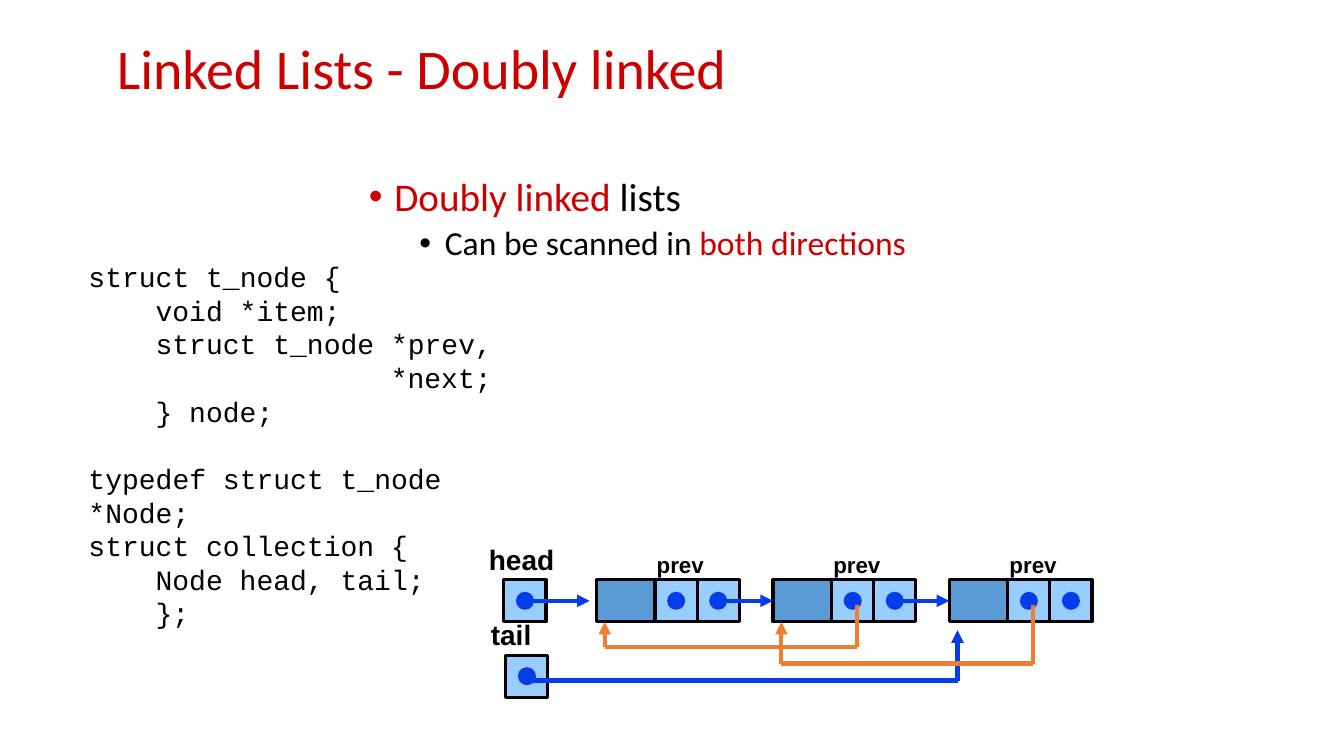
from itertools import pairwise

from lxml import etree
from pptx import Presentation
from pptx.dml.color import RGBColor
from pptx.enum.shapes import MSO_CONNECTOR, MSO_SHAPE
from pptx.enum.text import MSO_ANCHOR, PP_ALIGN
from pptx.oxml.ns import qn
from pptx.util import Cm, Pt

RED = RGBColor(0xCD, 0x00, 0x00)
BLACK = RGBColor(0x00, 0x00, 0x00)
LIGHT_BLUE = RGBColor(0x99, 0xCC, 0xFF)
STEEL_BLUE = RGBColor(0x5B, 0x9B, 0xD5)
BLUE = RGBColor(0x06, 0x3D, 0xE8)
ORANGE = RGBColor(0xED, 0x7D, 0x31)

CELL, DATA_WIDTH, DOT = 1.06, 1.48, 0.42
NODE_TOP = 14.61
NODE_LEFTS = [15.03, 19.48, 23.92]
NODE_MIDDLE = NODE_TOP + CELL / 2
HEAD_LEFT, TAIL_LEFT, TAIL_TOP = 12.7, 12.75, 16.51


def add_box(shapes, kind, left, top, width, height, fill, line, line_width):
    box = shapes.add_shape(kind, Cm(left), Cm(top), Cm(width), Cm(height))
    box.shadow.inherit = False
    box.fill.solid()
    box.fill.fore_color.rgb = fill
    box.line.color.rgb = line
    box.line.width = Pt(line_width)


def trace(points, color):
    """Join the points with straight lines, with an arrowhead at the last one."""
    for start, end in pairwise(points):
        connector = slide.shapes.add_connector(
            MSO_CONNECTOR.STRAIGHT, *map(Cm, start + end))
        connector.line.color.rgb = color
        connector.line.width = Pt(3)
        etree.SubElement(connector._element.spPr, qn("a:effectLst"))
        if end == points[-1]:
            line = connector._element.spPr.find(qn("a:ln"))
            etree.SubElement(line, qn("a:tailEnd"), type="triangle")


presentation = Presentation()
presentation.slide_width = Cm(33.87)
presentation.slide_height = Cm(19.05)
slide = presentation.slides.add_slide(presentation.slide_layouts[5])

title = slide.shapes.title
title.left, title.top, title.width, title.height = Cm(2.69), Cm(0.84), Cm(21.59), Cm(1.9)
title.text_frame.text = "Linked Lists - Doubly linked"
title.text_frame.vertical_anchor = MSO_ANCHOR.MIDDLE
paragraph = title.text_frame.paragraphs[0]
paragraph.alignment = PP_ALIGN.LEFT
paragraph.line_spacing = 0.9
paragraph.font.name = "Calibri"
paragraph.font.size = Pt(40)
paragraph.font.color.rgb = RED

# Bulleted points: level, size, space before, left margin, coloured runs
bullets = [
    (0, 28, 10, 0.64, [("Doubly linked ", RED), ("lists", BLACK)]),
    (1, 24, 5, 1.91, [("Can be scanned in ", BLACK), ("both directions", RED)]),
]
body = slide.shapes.add_textbox(Cm(9.05), Cm(4.34), Cm(21.59), Cm(8.46)).text_frame
body.word_wrap = True
for index, (level, size, space, margin, runs) in enumerate(bullets):
    paragraph = body.add_paragraph() if index else body.paragraphs[0]
    paragraph.level = level
    paragraph.line_spacing = 0.9
    paragraph.space_before = Pt(space)
    paragraph.font.name = "Calibri"
    paragraph.font.size = Pt(size)
    properties = paragraph._p.get_or_add_pPr()
    properties.set("marL", str(Cm(margin)))
    properties.set("indent", str(Cm(-0.64)))
    bullet_font = etree.Element(qn("a:buFont"), typeface="Arial")
    bullet = etree.Element(qn("a:buChar"), char="•")
    default_run = properties.find(qn("a:defRPr"))
    default_run.addprevious(bullet_font)
    default_run.addprevious(bullet)
    for text, color in runs:
        run = paragraph.add_run()
        run.text = text
        run.font.color.rgb = color

# Code lines: indent in characters, lines skipped above, text
code_lines = [
    (0, 0, "struct t_node {"),
    (4, 0, "void *item;"),
    (4, 0, "struct t_node *prev,"),
    (18, 0, "*next;"),
    (4, 0, "} node;"),
    (0, 1, "typedef struct t_node *Node;"),
    (0, 0, "struct collection {"),
    (4, 0, "Node head, tail;"),
    (4, 0, "};"),
]
code = slide.shapes.add_textbox(Cm(1.98), Cm(6.42), Cm(12.2), Cm(8.71)).text_frame
code.word_wrap = True
for index, (indent, skipped, text) in enumerate(code_lines):
    paragraph = code.add_paragraph() if index else code.paragraphs[0]
    paragraph.text = text
    paragraph.line_spacing = Pt(24)
    paragraph.space_before = Pt(24 * skipped)
    paragraph.font.name = "Courier New"
    paragraph.font.size = Pt(20)
    paragraph.font.color.rgb = BLACK
    paragraph._p.get_or_add_pPr().set("marL", str(Pt(12 * indent)))

# Each group: left, top, whether it holds data, number of pointers
groups = [(HEAD_LEFT, NODE_TOP, False, 1), (TAIL_LEFT, TAIL_TOP, False, 1)]
groups += [(left, NODE_TOP, True, 2) for left in NODE_LEFTS]
inset = (CELL - DOT) / 2
for left, top, has_data, pointers in groups:
    shapes = slide.shapes.add_group_shape().shapes
    if has_data:
        add_box(shapes, MSO_SHAPE.RECTANGLE, left, top, DATA_WIDTH, CELL,
                STEEL_BLUE, BLACK, 2.25)
        left += DATA_WIDTH
    for pointer in range(pointers):
        cell_left = left + pointer * CELL
        add_box(shapes, MSO_SHAPE.RECTANGLE, cell_left, top, CELL, CELL,
                LIGHT_BLUE, BLACK, 2.25)
        add_box(shapes, MSO_SHAPE.OVAL, cell_left + inset, top + inset, DOT, DOT,
                BLUE, BLUE, 1)

trace([(13.39, NODE_MIDDLE), (14.86, NODE_MIDDLE)], BLUE)
trace([(13.34, 17.15), (24.13, 17.15), (24.13, 15.88)], BLUE)
for (left, next_left), bend in zip(pairwise(NODE_LEFTS), (16.3, 16.72)):
    trace([(left + 3.18, NODE_MIDDLE), (next_left, NODE_MIDDLE)], BLUE)
    prev_x, target_x = next_left + 2.11, left + 0.21
    trace([(prev_x, 15.24), (prev_x, bend), (target_x, bend),
           (target_x, NODE_TOP + CELL)], ORANGE)

# Labels: text, left, top, width, height, size
labels = [("head", 12.07, 13.54, 2.4, 1.09, 20), ("tail", 12.12, 15.44, 2.0, 1.09, 20)]
labels += [("prev", left + 1.27, 13.76, 1.9, 0.94, 16) for left in NODE_LEFTS]
for text, left, top, width, height, size in labels:
    label = slide.shapes.add_textbox(Cm(left), Cm(top), Cm(width), Cm(height)).text_frame
    label.word_wrap = False
    paragraph = label.paragraphs[0]
    paragraph.text = text
    paragraph.alignment = PP_ALIGN.LEFT
    paragraph.font.name = "Arial"
    paragraph.font.size = Pt(size)
    paragraph.font.bold = True
    paragraph.font.color.rgb = BLACK

presentation.save("out.pptx")
